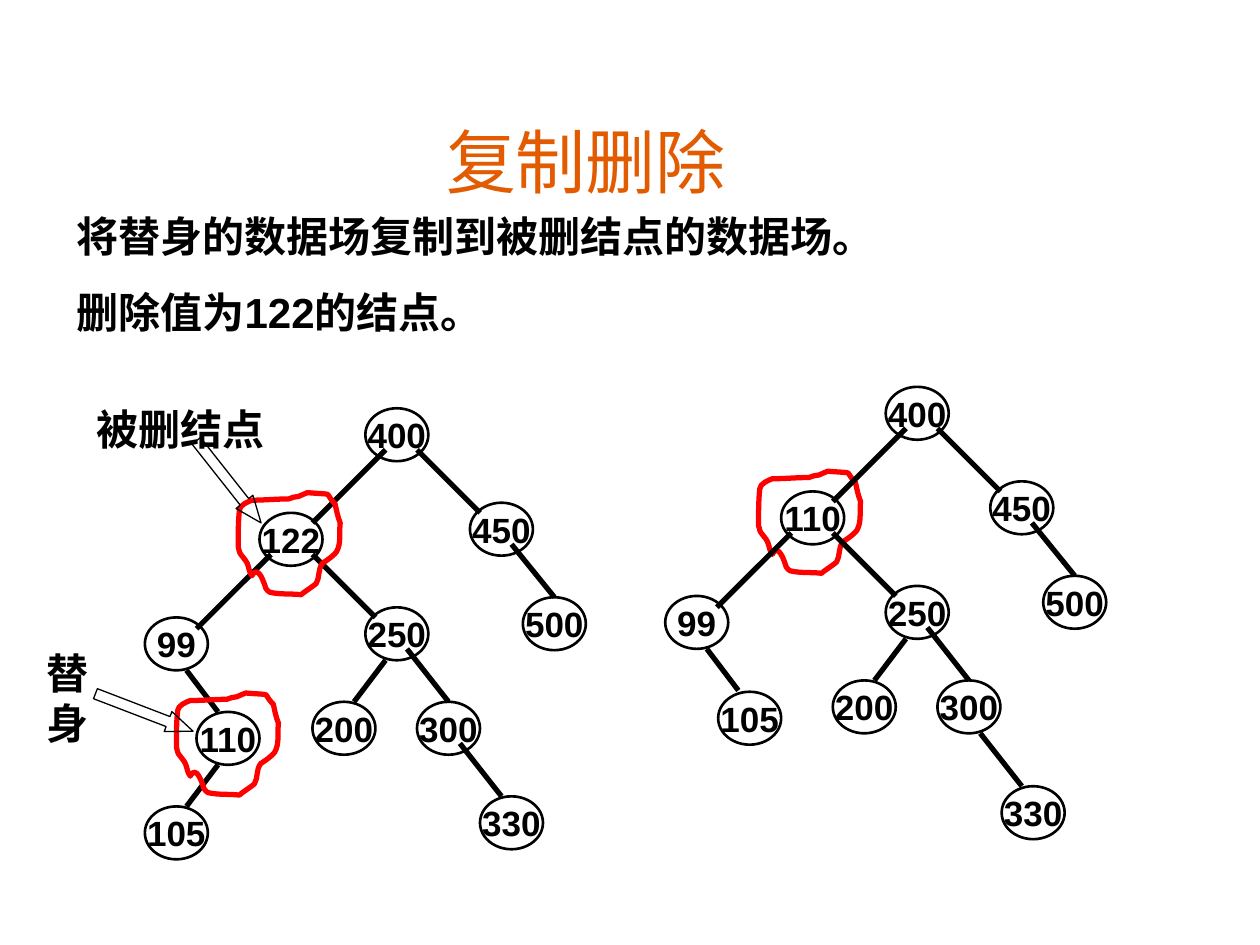
import pptx
import pptx.dml.color
import pptx.enum.shapes
import pptx.enum.text
import pptx.oxml.ns
import pptx.util
from lxml import etree
from pptx.util import Inches

BLACK, RED, ORANGE = "000000", "FF0000", "E25B00"
LATIN_FONT, CHINESE_FONT = "Arial", "Noto Sans CJK SC"
NODE_WIDTH, NODE_HEIGHT = 0.5, 0.42
RIGHT_TREE = (4.13, -0.17)

SHARED_NODES = [
    ("250", 2.9, 4.82), ("300", 3.31, 5.57), ("200", 2.48, 5.57), ("99", 1.15, 4.9),
    ("400", 2.9, 3.24), ("450", 3.73, 3.99), ("500", 4.15, 4.74),
]
SHARED_EDGES = [
    (3.23, 5.15, 3.56, 5.57), (4.06, 4.32, 4.4, 4.74), (2.15, 4.4, 1.56, 4.99),
    (2.48, 4.4, 2.98, 4.9), (3.06, 5.24, 2.81, 5.57), (1.48, 5.32, 1.73, 5.65),
    (3.06, 3.57, 2.48, 4.15), (3.31, 3.57, 3.81, 4.07),
]
LEFT_NODES = [("122", 2.06, 4.07), ("110", 1.56, 5.65), ("105", 1.15, 6.4), ("330", 3.81, 6.32)]
LEFT_EDGES = [(3.65, 5.9, 3.98, 6.32), (1.73, 6.07, 1.48, 6.4)]
RIGHT_NODES = [("110", 2.07, 4.07), ("105", 1.57, 5.66), ("330", 3.82, 6.41)]
RIGHT_EDGES = [(3.65, 5.99, 3.98, 6.41)]

LOOP_START = (0.11, 0.67)
LOOP_CURVES = [
    ((0.10, 0.65), (0.09, 0.64), (0.09, 0.63)), ((0.08, 0.60), (0.08, 0.58), (0.06, 0.55)),
    ((0.00, 0.47), (0.02, 0.51), (0.00, 0.44)), ((0.00, 0.34), (0.00, 0.24), (0.01, 0.15)),
    ((0.01, 0.11), (0.08, 0.08), (0.11, 0.07)), ((0.21, 0.07), (0.30, 0.06), (0.40, 0.06)),
    ((0.43, 0.05), (0.45, 0.04), (0.48, 0.04)), ((0.50, 0.03), (0.55, 0.01), (0.55, 0.01)),
    ((0.79, 0.03), (0.67, 0.00), (0.77, 0.10)), ((0.78, 0.15), (0.79, 0.20), (0.81, 0.25)),
    ((0.80, 0.33), (0.82, 0.41), (0.78, 0.48)), ((0.75, 0.52), (0.67, 0.57), (0.67, 0.57)),
    ((0.63, 0.62), (0.65, 0.68), (0.62, 0.73)), ((0.60, 0.75), (0.52, 0.80), (0.50, 0.82)),
    ((0.42, 0.81), (0.33, 0.82), (0.25, 0.80)), ((0.24, 0.80), (0.23, 0.78), (0.22, 0.77)),
    ((0.21, 0.74), (0.16, 0.57), LOOP_START),
]


def color(value):
    return pptx.dml.color.RGBColor.from_string(value)


def bend_segments(shape):
    qn = pptx.oxml.ns.qn
    segments = list(shape._element.iter(qn("a:lnTo")))
    for first, second, end in zip(segments[::3], segments[1::3], segments[2::3]):
        curve = etree.Element(qn("a:cubicBezTo"))
        first.addprevious(curve)
        for segment in (first, second, end):
            curve.append(segment[0])
            segment.getparent().remove(segment)


class TreeSlide:
    """Draws titles, texts, tree parts and markers on one slide."""

    def __init__(self, slide):
        self.slide = slide
        self.shapes = slide.shapes

    def start_group(self):
        self.shapes = self.slide.shapes.add_group_shape().shapes

    def end_group(self):
        self.shapes = self.slide.shapes

    def format_text(self, frame, size, font_color, bold, latin=LATIN_FONT, align=None):
        for paragraph in frame.paragraphs:
            paragraph.alignment = align
            for run in paragraph.runs:
                font = run.font
                font.size, font.bold, font.name = pptx.util.Pt(size), bold, latin
                font.color.rgb = color(font_color)
                east_asian = etree.SubElement(font._element, pptx.oxml.ns.qn("a:ea"))
                east_asian.set("typeface", CHINESE_FONT)

    def outline(self, shape, line_color, width):
        shape.shadow.inherit = False
        shape.fill.background()
        shape.line.color.rgb = color(line_color)
        shape.line.width = pptx.util.Pt(width)

    def title(self, text, left, top, width, height):
        shape = self.shapes.title
        shape.left, shape.top = Inches(left), Inches(top)
        shape.width, shape.height = Inches(width), Inches(height)
        frame = shape.text_frame
        frame.text = text
        frame.auto_size = pptx.enum.text.MSO_AUTO_SIZE.NONE
        frame.vertical_anchor = pptx.enum.text.MSO_ANCHOR.MIDDLE
        self.format_text(frame, 40, ORANGE, False, CHINESE_FONT, pptx.enum.text.PP_ALIGN.CENTER)

    def text(self, text, left, top, width, height):
        shape = self.shapes.add_textbox(Inches(left), Inches(top), Inches(width), Inches(height))
        frame = shape.text_frame
        frame.word_wrap = True
        frame.auto_size = pptx.enum.text.MSO_AUTO_SIZE.SHAPE_TO_FIT_TEXT
        frame.text = text
        self.format_text(frame, 24, BLACK, True)
        for paragraph in frame.paragraphs[1:]:
            paragraph.space_before = pptx.util.Pt(15)

    def node(self, text, left, top):
        shape = self.shapes.add_shape(
            pptx.enum.shapes.MSO_SHAPE.OVAL,
            Inches(left), Inches(top), Inches(NODE_WIDTH), Inches(NODE_HEIGHT))
        self.outline(shape, BLACK, 1.5)
        frame = shape.text_frame
        frame.word_wrap = False
        frame.vertical_anchor = pptx.enum.text.MSO_ANCHOR.MIDDLE
        frame.text = text
        self.format_text(frame, 20, BLACK, True, align=pptx.enum.text.PP_ALIGN.CENTER)

    def edge(self, *ends):
        connector = self.shapes.add_connector(
            pptx.enum.shapes.MSO_CONNECTOR.STRAIGHT, *(Inches(end) for end in ends))
        connector.line.color.rgb = color(BLACK)
        connector.line.width = pptx.util.Pt(3)
        etree.SubElement(connector._element.spPr, pptx.oxml.ns.qn("a:effectLst"))

    def tree(self, nodes, edges, offset=(0, 0)):
        x, y = offset
        for x1, y1, x2, y2 in edges:
            self.edge(x1 + x, y1 + y, x2 + x, y2 + y)
        for text, left, top in nodes:
            self.node(text, left + x, top + y)

    def loop(self, left, top):
        start, *points = [(Inches(left + x), Inches(top + y))
                          for x, y in [LOOP_START] + sum(map(list, LOOP_CURVES), [])]
        builder = self.shapes.build_freeform(*start)
        builder.add_line_segments(points, close=True)
        shape = builder.convert_to_shape()
        bend_segments(shape)
        self.outline(shape, RED, 3)

    def arrow(self, left, top, rotation):
        shape = self.shapes.add_shape(
            pptx.enum.shapes.MSO_SHAPE.RIGHT_ARROW,
            Inches(left), Inches(top), Inches(0.83), Inches(0.17))
        shape.adjustments[0], shape.adjustments[1] = 0.5, 1.25
        shape.rotation = rotation
        self.outline(shape, BLACK, 0.75)

    def callout(self, loop, arrow, label):
        self.start_group()
        self.loop(*loop)
        self.arrow(*arrow)
        self.text(*label)
        self.end_group()


def main():
    presentation = pptx.Presentation()
    presentation.slide_width, presentation.slide_height = Inches(10), Inches(7.5)
    page = TreeSlide(presentation.slides.add_slide(presentation.slide_layouts[5]))
    page.title("复制删除", 0.2, 0.9, 8.9, 0.74)

    page.tree(SHARED_NODES + LEFT_NODES, SHARED_EDGES + LEFT_EDGES)
    page.callout((1.89, 3.9), (1.4, 3.74, 51.7), ("被删结点", 0.67, 3.15, 1.73, 0.5))
    page.callout((1.4, 5.49), (0.73, 5.57, 21), ("替身", 0.27, 5.09, 0.75, 0.9))

    page.start_group()
    page.loop(6.02, 3.73)
    page.tree(SHARED_NODES + RIGHT_NODES, SHARED_EDGES + RIGHT_EDGES, RIGHT_TREE)
    page.end_group()

    page.text("将替身的数据场复制到被删结点的数据场。\n删除值为122的结点。", 0.51, 1.62, 9.08, 1.11)
    presentation.save("out.pptx")


if __name__ == "__main__":
    main()
